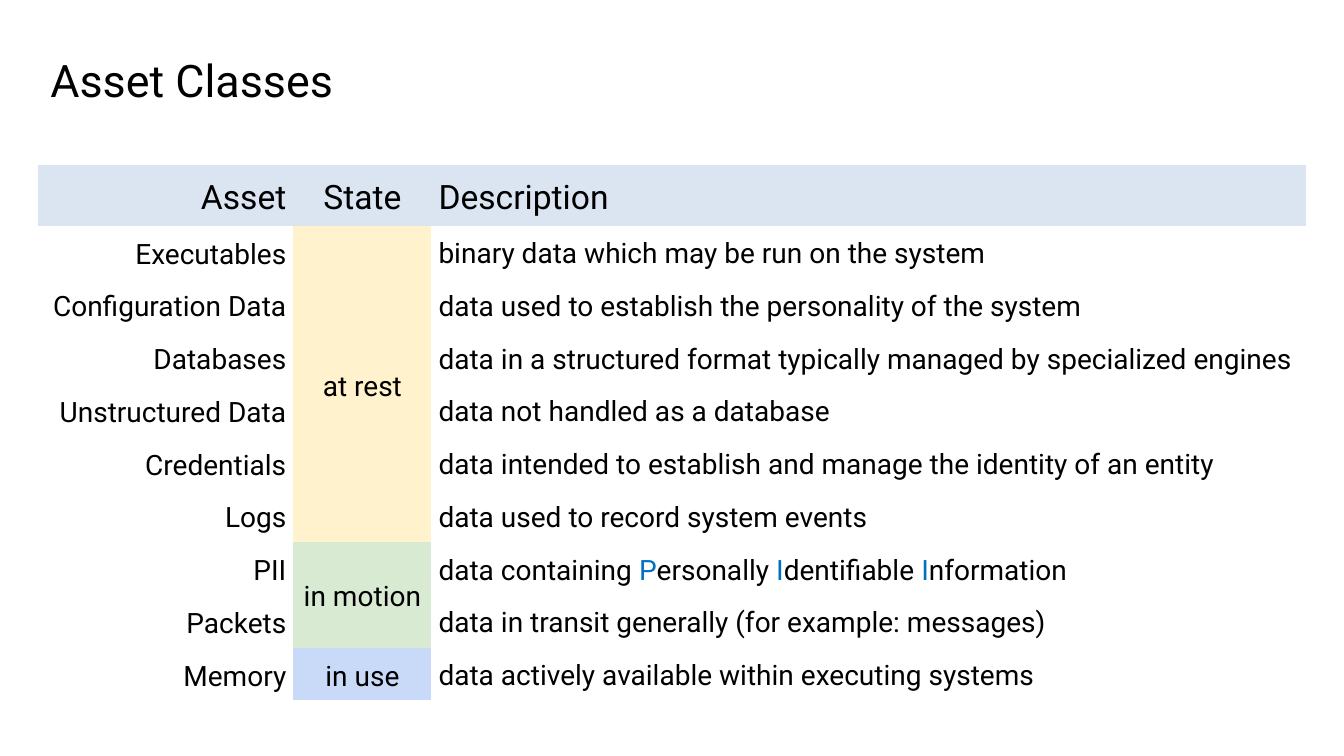
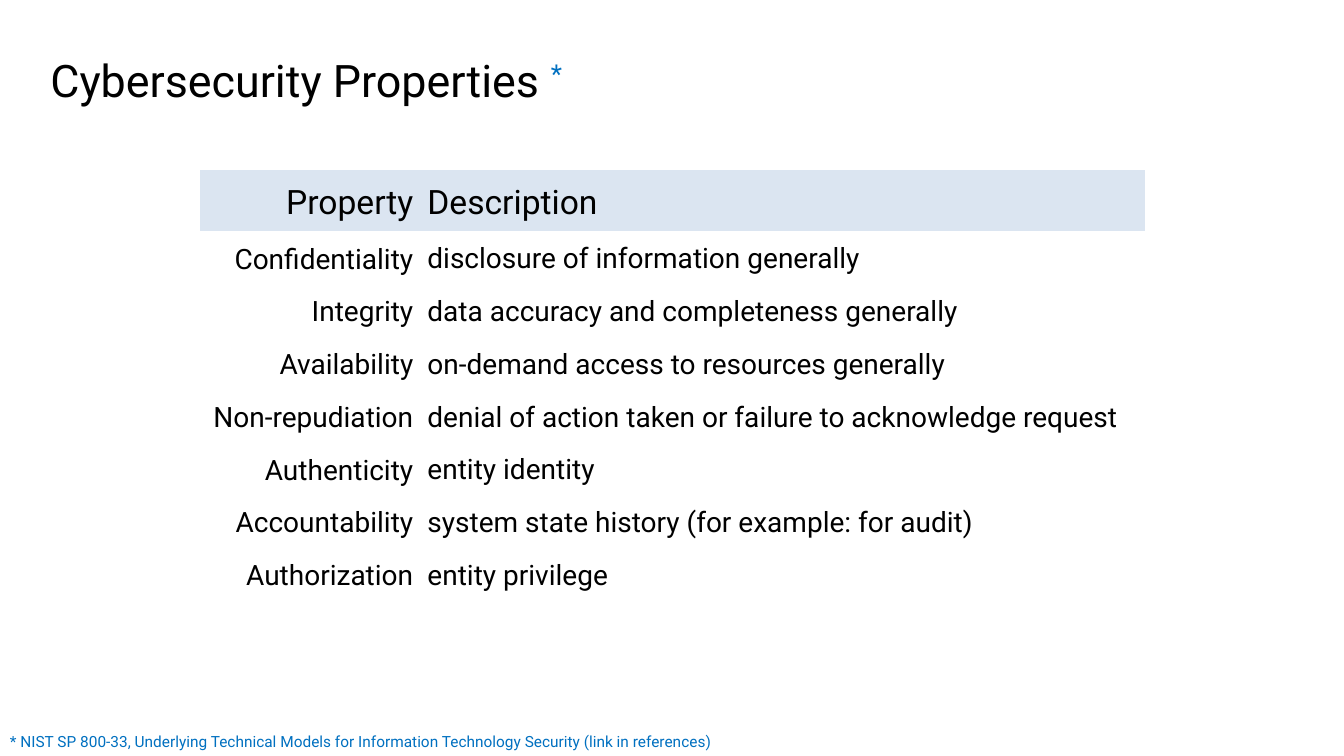
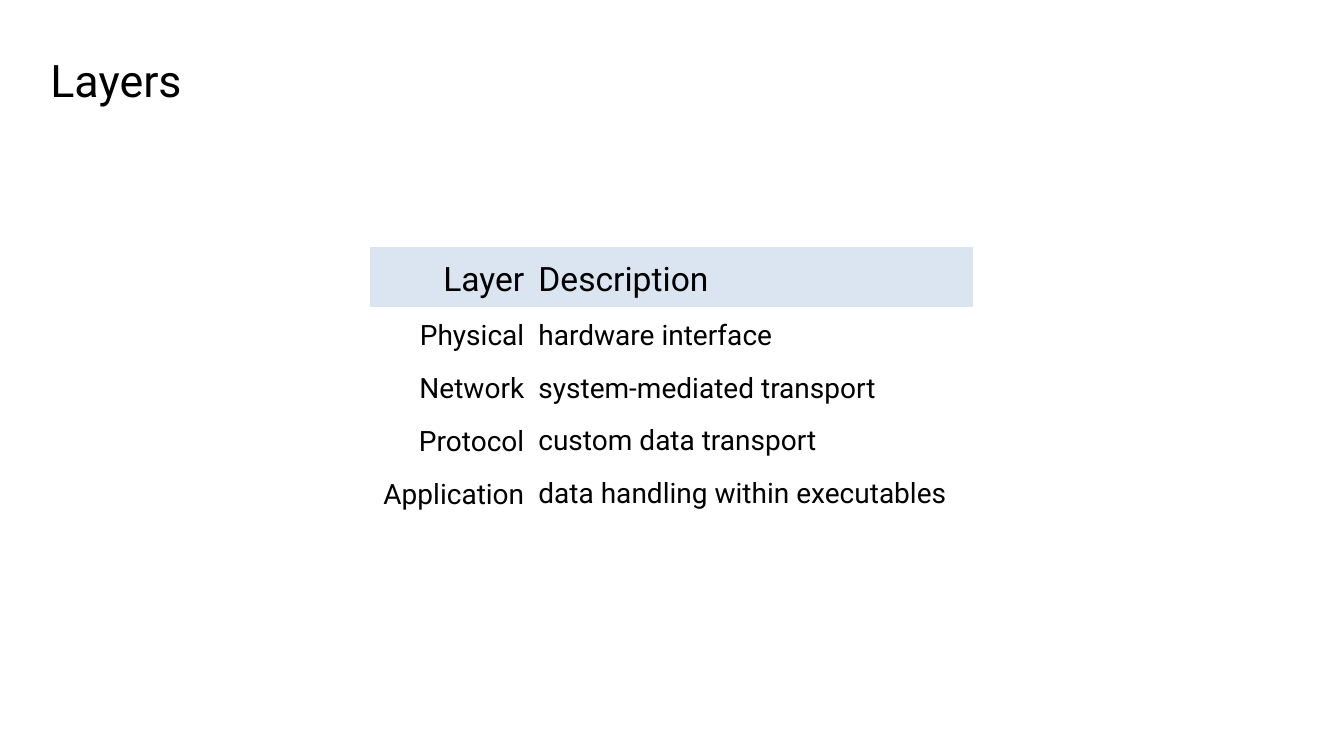
"""Build three cybersecurity slides, each a title above a table of terms."""
from dataclasses import dataclass

from pptx import Presentation
from pptx.dml.color import RGBColor
from pptx.enum.text import MSO_ANCHOR as ANCHOR, PP_ALIGN as ALIGN
from pptx.oxml.ns import qn
from pptx.slide import Slide
from pptx.text.text import TextFrame
from pptx.util import Inches, Pt

FONT = "Roboto"
BLACK, ACCENT, HEADER_FILL = "000000", "0070C0", "DBE5F1"
STATE_FILLS = {"at rest": "FFF2CC", "in motion": "D9EAD3", "in use": "C9DAF8"}
NO_STYLE = "{2D5ABB26-0587-4C30-8999-92F81FD0307C}"
HEADER_HEIGHT = 0.59
CELL_MARGIN = 0.07


@dataclass(frozen=True)
class TermTable:
    left: float
    top: float
    row_height: float
    widths: tuple[float, ...]
    rows: tuple[tuple[str, ...], ...]


@dataclass(frozen=True)
class TermSlide:
    title: str
    table: TermTable
    footnote: str = ""


SLIDES = (
    TermSlide("Asset Classes", TermTable(0.38, 1.64, 0.51, (2.53, 1.37, 8.67), (
        ("Asset", "State", "Description"),
        ("Executables", "at rest", "binary data which may be run on the system"),
        ("Configuration Data", "", "data used to establish the personality of the system"),
        ("Databases", "", "data in a structured format typically managed by specialized engines"),
        ("Unstructured Data", "", "data not handled as a database"),
        ("Credentials", "", "data intended to establish and manage the identity of an entity"),
        ("Logs", "", "data used to record system events"),
        ("PII", "in motion", "data containing |P|ersonally |I|dentifiable |I|nformation"),
        ("Packets", "", "data in transit generally (for example: messages)"),
        ("Memory", "in use", "data actively available within executing systems"),
    ))),
    TermSlide("Cybersecurity Properties |*|", TermTable(1.98, 1.69, 0.52, (2.19, 7.19), (
        ("Property", "Description"),
        ("Confidentiality", "disclosure of information generally"),
        ("Integrity", "data accuracy and completeness generally"),
        ("Availability", "on-demand access to resources generally"),
        ("Non-repudiation", "denial of action taken or failure to acknowledge request"),
        ("Authenticity", "entity identity"),
        ("Accountability", "system state history (for example: for audit)"),
        ("Authorization", "entity privilege"),
    )), "* NIST SP 800-33, Underlying Technical Models for Information Technology Security "
        "(link in references)"),
    TermSlide("Layers", TermTable(3.67, 2.45, 0.52, (1.6, 4.38), (
        ("Layer", "Description"),
        ("Physical", "hardware interface"),
        ("Network", "system-mediated transport"),
        ("Protocol", "custom data transport"),
        ("Application", "data handling within executables"),
    ))),
)


def rgb(color: str) -> RGBColor:
    return RGBColor.from_string(color)


def write(tf: TextFrame, text: str, *, size: float, color: str = BLACK, align: ALIGN = ALIGN.LEFT,
          spacing: float = 1.0, raised: bool = False) -> None:
    p = tf.paragraphs[0]
    p.alignment, p.line_spacing = align, spacing
    for i, part in enumerate(text.split("|")):
        if not part:
            continue
        marked = i % 2 == 1
        r = p.add_run()
        r.text = part
        r.font.name, r.font.size = FONT, Pt(size)
        r.font.color.rgb = rgb(ACCENT if marked else color)
        if marked and raised:
            r.font._element.set("baseline", "30000")


def add_text(s: Slide, text: str, left: float, top: float, width: float, height: float, *,
             margins: tuple[float, float] = (0.1, 0.05), anchor: ANCHOR = ANCHOR.TOP,
             **text_format) -> None:
    tf = s.shapes.add_textbox(Inches(left), Inches(top), Inches(width), Inches(height)).text_frame
    tf.word_wrap = True
    tf.vertical_anchor = anchor
    tf.margin_left = tf.margin_right = Inches(margins[0])
    tf.margin_top = tf.margin_bottom = Inches(margins[1])
    write(tf, text, **text_format)


def column_align(col: int, cols: int) -> ALIGN:
    if col == 0:
        return ALIGN.RIGHT
    return ALIGN.LEFT if col == cols - 1 else ALIGN.CENTER


def add_terms(s: Slide, spec: TermTable) -> None:
    cols, count = len(spec.widths), len(spec.rows)
    heights = [HEADER_HEIGHT] + [spec.row_height] * (count - 1)
    table = s.shapes.add_table(count, cols, Inches(spec.left), Inches(spec.top),
                               Inches(sum(spec.widths)), Inches(sum(heights))).table
    table.first_row = table.horz_banding = False
    table._tbl.tblPr.find(qn("a:tableStyleId")).text = NO_STYLE
    for column, width in zip(table.columns, spec.widths):
        column.width = Inches(width)
    for row, height in zip(table.rows, heights):
        row.height = Inches(height)

    for col in range(cols):
        for row, values in enumerate(spec.rows):
            cell, text = table.cell(row, col), values[col]
            cell.margin_left = cell.margin_right = Inches(CELL_MARGIN)
            cell.margin_top = cell.margin_bottom = Inches(CELL_MARGIN)
            cell.vertical_anchor = ANCHOR.MIDDLE if row and col < cols - 1 else ANCHOR.TOP
            fill = STATE_FILLS.get(text) if row else HEADER_FILL
            if fill:
                cell.fill.solid()
                cell.fill.fore_color.rgb = rgb(fill)
            else:
                cell.fill.background()
            write(cell.text_frame, text, size=20 if row else 24,
                  align=column_align(col, cols), spacing=1.15)
        starts = [row for row, values in enumerate(spec.rows) if values[col]]
        for start, end in zip(starts, starts[1:] + [count]):
            if end - start > 1:
                table.cell(start, col).merge(table.cell(end - 1, col))


def main() -> None:
    prs = Presentation()
    prs.slide_width, prs.slide_height = Inches(13.33), Inches(7.5)
    for spec in SLIDES:
        s = prs.slides.add_slide(prs.slide_layouts[6])
        add_text(s, spec.title, 0.5, 0.5, 12.33, 0.57, margins=(0, 0),
                 anchor=ANCHOR.MIDDLE, size=32, raised=True)
        add_terms(s, spec.table)
        if spec.footnote:
            add_text(s, spec.footnote, 0, 7.21, 7.58, 0.29, size=11, color=ACCENT)
    prs.save("out.pptx")


if __name__ == "__main__":
    main()
